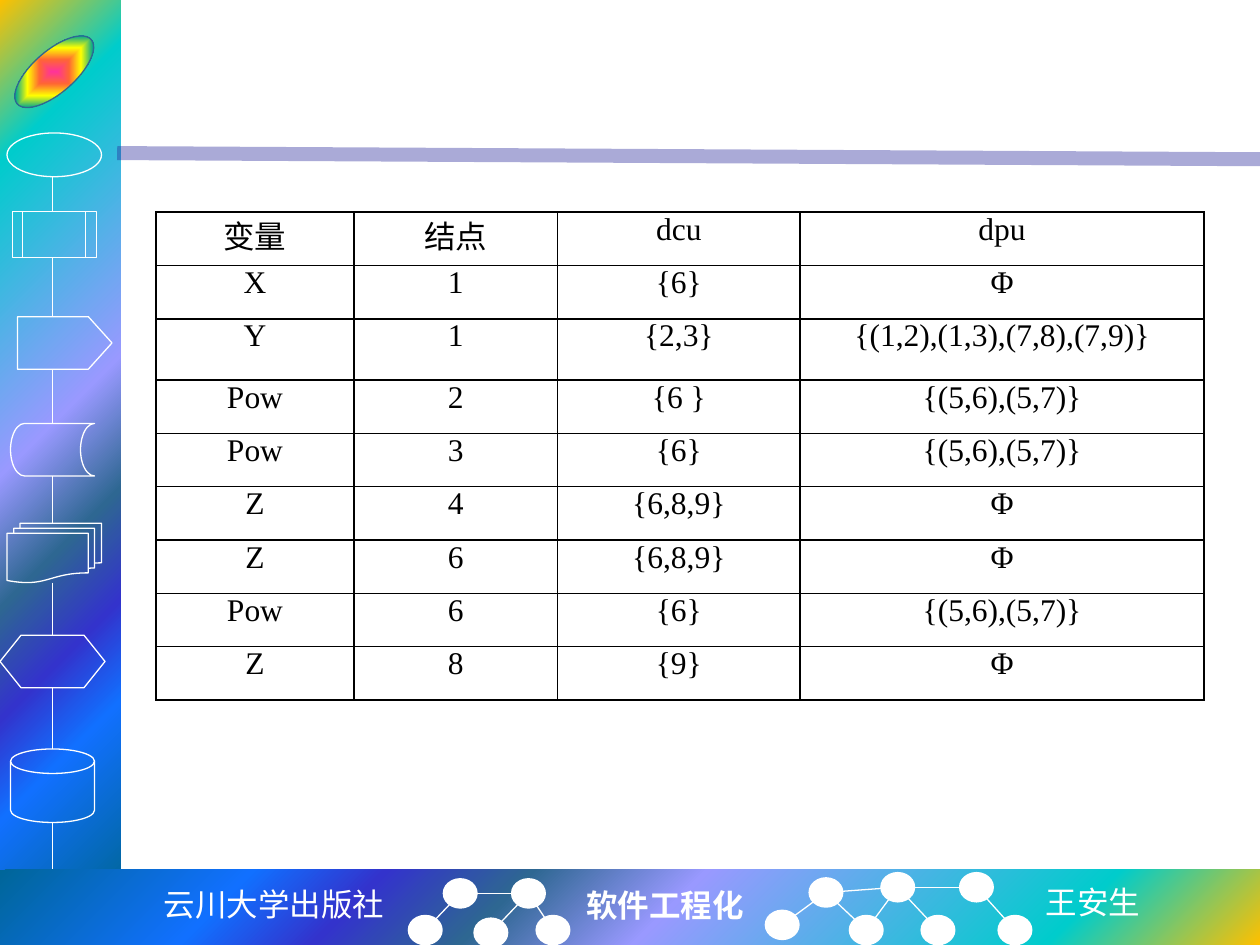
from itertools import pairwise
from math import hypot

from lxml import etree
from pptx import Presentation
from pptx import util as u
from pptx.dml import color
from pptx.enum import shapes, text
from pptx.oxml import ns, parse_xml

Pt = u.Pt
KIND = shapes.MSO_SHAPE
COLOURS = {"white": "FFFFFF", "black": "000000", "rule": "262699", "edge": "2E6792"}
BAND_STOPS = {0: "FFC000", 16: "00CCCC", 47: "9999FF", 60: "2E6792",
              71: "3333CC", 81: "1170FF", 100: "006699"}
BADGE_STOPS = {0: "FF3399", 25: "FF6633", 50: "FFFF00", 75: "01A78F", 100: "3366FF"}
FLOW_STEPS = [
    (KIND.OVAL, 4, 76, 54, 25),
    (KIND.FLOWCHART_PREDEFINED_PROCESS, 7, 121, 48, 26),
    (KIND.PENTAGON, 10, 181, 54, 30),
    (KIND.FLOWCHART_STORED_DATA, 6, 242, 48, 30),
    (KIND.FLOWCHART_MULTIDOCUMENT, 4, 299, 54, 34),
    (KIND.FLOWCHART_PREPARATION, 0, 363, 60, 30),
    (KIND.FLOWCHART_MAGNETIC_DISK, 6, 428, 48, 42),
    (KIND.OVAL, 3, 503, 54, 25),
]
SMALL_GRAPH = (
    [(243, 34.5), (263, 13.5), (302, 13.5), (280.5, 36), (316, 34.5)],
    [(0, 1), (1, 2), (2, 3), (2, 4)],
)
LARGE_GRAPH = (
    [(447, 31.5), (472, 13), (495, 34.5), (513, 10),
     (536, 34.5), (558, 10), (580, 34.5)],
    [(0, 1), (1, 2), (1, 3), (3, 2), (3, 4), (3, 5), (5, 6)],
)
ROWS = [
    ("变量", "结点", "dcu", "dpu"),
    ("X", "1", "{6}", "Φ"),
    ("Y", "1", "{2,3}", "{(1,2),(1,3),(7,8),(7,9)}"),
    ("Pow", "2", "{6 }", "{(5,6),(5,7)}"),
    ("Pow", "3", "{6}", "{(5,6),(5,7)}"),
    ("Z", "4", "{6,8,9}", "Φ"),
    ("Z", "6", "{6,8,9}", "Φ"),
    ("Pow", "6", "{6}", "{(5,6),(5,7)}"),
    ("Z", "8", "{9}", "Φ"),
]


def rgb(name):
    return color.RGBColor.from_string(COLOURS[name])


def write(frame, words, font="Times New Roman", colour="white", bold=False, align="LEFT"):
    para = frame.paragraphs[0]
    para.alignment = getattr(text.PP_ALIGN, align)
    span = para.add_run()
    span.text = words
    span.font.name, span.font.size, span.font.bold = font, Pt(18), bold
    span.font.color.rgb = rgb(colour)
    etree.SubElement(span.font._element, ns.qn("a:ea"), typeface="Noto Sans CJK SC")


def add_label(page, box, words, **style):
    frame = page.shapes.add_textbox(*map(Pt, box)).text_frame
    frame.word_wrap = False
    frame.auto_size = text.MSO_AUTO_SIZE.SHAPE_TO_FIT_TEXT
    write(frame, words, **style)


def add_figure(page, kind, box, fill=None, line=None):
    figure = page.shapes.add_shape(kind, *map(Pt, box))
    figure.shadow.inherit = False
    if fill:
        figure.fill.solid()
        figure.fill.fore_color.rgb = rgb(fill)
    else:
        figure.fill.background()
    if line:
        figure.line.color.rgb, figure.line.width = rgb(line), Pt(0.75)
    else:
        figure.line.fill.background()
    return figure


def add_gradient(figure, stops, shape, centre):
    marks = "".join(f'<a:gs pos="{place * 1000}"><a:srgbClr val="{shade}"/></a:gs>'
                    for place, shade in stops.items())
    edges = " ".join(f'{side}="{share * 1000}"' for side, share in zip("ltrb", centre))
    gradient = parse_xml(f'<a:gradFill {ns.nsdecls("a")} rotWithShape="1"><a:gsLst>{marks}'
                         f'</a:gsLst><a:path path="{shape}"><a:fillToRect {edges}/></a:path>'
                         '</a:gradFill>')
    properties = figure._element.spPr
    properties.replace(properties.find(ns.qn("a:noFill")), gradient)


def add_line(page, start, end, colour="white", width=0.75):
    line = page.shapes.add_connector(shapes.MSO_CONNECTOR.STRAIGHT,
                                     *map(Pt, (*start, *end)))
    line.line.color.rgb, line.line.width = rgb(colour), Pt(width)
    etree.SubElement(line._element.spPr, ns.qn("a:effectLst"))
    return line


def draw_sidebar(page, left, top, width, height):
    band = add_figure(page, KIND.RECTANGLE, (left, top, width, height))
    add_gradient(band, BAND_STOPS, "circle", (0, 0, 100, 100))
    badge = add_figure(page, KIND.OVAL, (left + 3, top + 29, 56, 24), line="edge")
    badge.rotation = -41
    add_gradient(badge, BADGE_STOPS, "rect", (50, 50, 50, 50))
    draw_flow(page, left, top)


def draw_flow(page, left, top):
    for kind, x, y, width, height in FLOW_STEPS:
        step = add_figure(page, kind, (left + x, top + y, width, height), line="white")
        if kind == KIND.PENTAGON:
            step.adjustments[0] = 0.45
    for upper, lower in pairwise(FLOW_STEPS):
        add_line(page, (left + 30, top + upper[2] + upper[4]),
                 (left + 30, top + lower[2]))


def draw_graph(page, left, top, nodes, edges):
    width, height = 20, 17.5
    for x, y in nodes:
        add_figure(page, KIND.OVAL,
                   (left + x - width / 2, top + y - height / 2, width, height), fill="white")
    for first, last in edges:
        (x1, y1), (x2, y2) = nodes[first], nodes[last]
        dx, dy = x2 - x1, y2 - y1
        trim = 0.95 / hypot(dx / (width / 2), dy / (height / 2))
        add_line(page, (left + x1 + dx * trim, top + y1 + dy * trim),
                 (left + x2 - dx * trim, top + y2 - dy * trim))


def draw_footer(page, left, top, width, height):
    band = add_figure(page, KIND.RECTANGLE, (left, top, width, height))
    add_gradient(band, BAND_STOPS, "circle", (100, 100, 0, 0))
    add_label(page, (left + 85.5, top + 5, 142, 29), "云川大学出版社",
              font="Noto Sans Mono", align="CENTER")
    add_label(page, (left + 328, top + 5.5, 105, 29), "软件工程化", bold=True)
    add_label(page, (left + 590.5, top + 4, 69, 29), "王安生", font="Noto Sans CJK SC")
    for nodes, edges in (SMALL_GRAPH, LARGE_GRAPH):
        draw_graph(page, left, top, nodes, edges)


def draw_rule(page, left, top, width, height):
    rule = add_line(page, (left, top), (left + width, top + height), "rule", 8)
    shade = rule._element.spPr.find(".//" + ns.qn("a:srgbClr"))
    etree.SubElement(shade, ns.qn("a:alpha"), val="39000")


def add_borders(cell):
    for index, side in enumerate("LRTB"):
        cell._tc.get_or_add_tcPr().insert(index, parse_xml(
            f'<a:ln{side} {ns.nsdecls("a")} w="{Pt(1)}"><a:solidFill>'
            f'<a:srgbClr val="{COLOURS["black"]}"/></a:solidFill></a:ln{side}>'))


def draw_variable_table(page, left, top, width, height):
    table = page.shapes.add_table(len(ROWS), len(ROWS[0]),
                                  *map(Pt, (left, top, width, height))).table
    table.first_row = table.horz_banding = False
    for column, size in zip(table.columns, (113, 116.5, 138.5, 231)):
        column.width = Pt(size)
    for index, (row, entries) in enumerate(zip(table.rows, ROWS)):
        row.height = Pt(35 if index == 2 else 30.5)
        for cell, words in zip(row.cells, entries):
            cell.margin_left = cell.margin_right = Pt(5)
            cell.margin_top = cell.margin_bottom = Pt(0)
            cell.fill.background()
            add_borders(cell)
            write(cell.text_frame, words, colour="black", align="CENTER")


deck = Presentation()
deck.slide_width, deck.slide_height = Pt(720), Pt(540)
page = deck.slides.add_slide(deck.slide_layouts[6])
draw_sidebar(page, 0, 0, 69, 510.5)
draw_footer(page, 0, 497, 720, 43)
draw_rule(page, 67, 87.5, 653, 3.5)
draw_variable_table(page, 89.2, 121.2, 599, 279)
deck.save("out.pptx")
